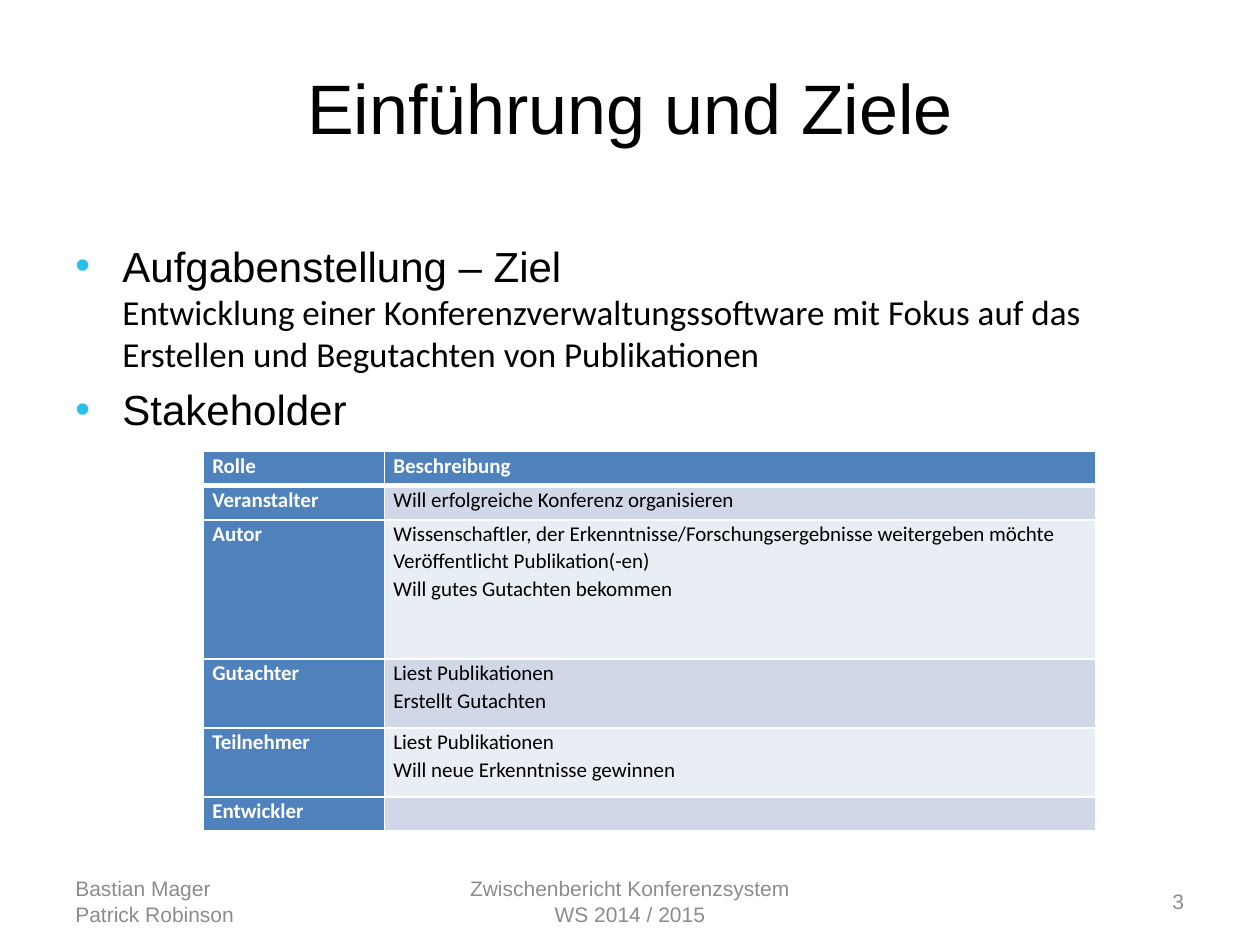
from lxml import etree
from pptx import Presentation, util as u
from pptx.dml.color import RGBColor
from pptx.enum import text
from pptx.oxml.ns import qn

THEME = {
    "heading": "Arial", "body": "Calibri",
    "ink": "000000", "muted": "8C8C8C", "bullet": "28BFEE", "white": "FFFFFF",
    "header": "4F81BD", "bands": ("D0D8E8", "E9EDF4"),
    "title_size": 40, "topic_size": 24, "text_size": 20, "small_size": 12,
}
LEFT, CENTER, RIGHT = text.PP_ALIGN.LEFT, text.PP_ALIGN.CENTER, text.PP_ALIGN.RIGHT

TITLE = "Einführung und Ziele"
TOPICS = [
    ("Aufgabenstellung – Ziel",
     "Entwicklung einer Konferenzverwaltungssoftware mit Fokus auf das "
     "Erstellen und Begutachten von Publikationen"),
    ("Stakeholder", None),
]
# left, width, alignment, lines
FOOTERS = [
    (1.27, 5.92, LEFT, ["Bastian Mager", "Patrick Robinson"]),
    (8.68, 8.04, CENTER, ["Zwischenbericht Konferenzsystem", "WS 2014 / 2015"]),
    (18.2, 5.92, RIGHT, ["3"]),
]
# height, role, description lines
ROLES = [
    (0.69, "Rolle", ["Beschreibung"]),
    (0.69, "Veranstalter", ["Will erfolgreiche Konferenz organisieren"]),
    (2.81, "Autor", [
        "Wissenschaftler, der Erkenntnisse/Forschungsergebnisse weitergeben möchte",
        "Veröffentlicht Publikation(-en)",
        "Will gutes Gutachten bekommen"]),
    (1.39, "Gutachter", ["Liest Publikationen", "Erstellt Gutachten"]),
    (1.39, "Teilnehmer", ["Liest Publikationen", "Will neue Erkenntnisse gewinnen"]),
    (0.69, "Entwickler", []),
]
COLUMNS = (3.65, 14.33)
TABLE_LEFT, TABLE_TOP = 4.1, 9.1


def apply(target, values):
    for name, value in values.items():
        setattr(target, name, value)


def add_span(para, words, font, size, color, bold=False):
    span = para.add_run()
    span.text = words
    apply(span.font, {"name": font, "size": u.Pt(size), "bold": bold})
    span.font.color.rgb = RGBColor.from_string(color)


def add_box(page, left, top, width, height, anchor):
    box = page.shapes.add_textbox(*map(u.Cm, (left, top, width, height)))
    apply(box.text_frame, {"word_wrap": True, "vertical_anchor": anchor})
    return box.text_frame


def paragraphs(frame, items):
    """Yield one paragraph of the frame with each item, reusing the first."""
    for index, item in enumerate(items):
        yield (frame.add_paragraph() if index else frame.paragraphs[0]), item


def add_lines(frame, lines, align, *style):
    for para, line in paragraphs(frame, lines):
        para.alignment = align
        add_span(para, line, *style)


def add_bullet(para):
    props = para._p.get_or_add_pPr()
    props.set("marL", str(u.Cm(0.95)))
    props.set("indent", str(-u.Cm(0.95)))
    color = etree.SubElement(props, qn("a:buClr"))
    etree.SubElement(color, qn("a:srgbClr"), val=THEME["bullet"])
    etree.SubElement(props, qn("a:buFont"), typeface="Arial")
    etree.SubElement(props, qn("a:buChar"), char="•")


def add_borders(cell, widths):
    """Draw white borders; widths are points by side, in schema order."""
    props = cell._tc.get_or_add_tcPr()
    for side, points in widths.items():
        line = etree.SubElement(props, qn(f"a:ln{side}"), w=str(u.Pt(points)))
        fill = etree.SubElement(line, qn("a:solidFill"))
        etree.SubElement(fill, qn("a:srgbClr"), val=THEME["white"])


def fill_cell(cell, lines, row, column):
    heading = row == 0 or column == 0
    apply(cell, {"margin_left": u.Cm(0.18), "margin_right": u.Cm(0.18),
                 "margin_top": 0, "margin_bottom": 0})
    add_borders(cell, {"L": 1, "R": 1, "T": 3 if row == 1 else 1,
                       "B": 3 if row == 0 else 1})
    cell.fill.solid()
    cell.fill.fore_color.rgb = RGBColor.from_string(
        THEME["header"] if heading else THEME["bands"][(row - 1) % 2])
    add_lines(cell.text_frame, lines, LEFT, THEME["body"], THEME["small_size"],
              THEME["white"] if heading else THEME["ink"], heading)
    for para in cell.text_frame.paragraphs:
        para.line_spacing = 1.07
        if not lines:  # keeps the empty row from growing
            etree.SubElement(para._p, qn("a:endParaRPr"),
                             sz=str(THEME["small_size"] * 100))


def add_topics(page):
    frame = add_box(page, 1.27, 4.72, 22.86, 12.29, text.MSO_ANCHOR.TOP)
    for para, (topic, detail) in paragraphs(frame, TOPICS):
        para.space_before = u.Pt(5)
        add_bullet(para)
        add_span(para, topic, THEME["heading"], THEME["topic_size"], THEME["ink"])
        if detail:
            para.add_line_break()
            add_span(para, detail, THEME["body"], THEME["text_size"], THEME["ink"])


def add_roles(page):
    height = sum(row[0] for row in ROLES)
    table = page.shapes.add_table(
        len(ROLES), len(COLUMNS),
        *map(u.Cm, (TABLE_LEFT, TABLE_TOP, sum(COLUMNS), height))).table
    for column, width in zip(table.columns, COLUMNS):
        column.width = u.Cm(width)
    for row, (height, role, lines) in enumerate(ROLES):
        table.rows[row].height = u.Cm(height)
        for column, content in enumerate(([role], lines)):
            fill_cell(table.cell(row, column), content, row, column)


def main():
    deck = Presentation()
    apply(deck, {"slide_width": u.Cm(25.4), "slide_height": u.Cm(19.05)})
    page = deck.slides.add_slide(deck.slide_layouts[6])
    middle = text.MSO_ANCHOR.MIDDLE
    add_lines(add_box(page, 1.27, 0.76, 22.86, 2.77, middle), [TITLE], CENTER,
              THEME["heading"], THEME["title_size"], THEME["ink"])
    add_topics(page)
    for left, width, align, lines in FOOTERS:
        add_lines(add_box(page, left, 17.66, width, 1.01, middle), lines, align,
                  THEME["heading"], THEME["small_size"], THEME["muted"])
    add_roles(page)
    deck.save("out.pptx")


if __name__ == "__main__":
    main()
